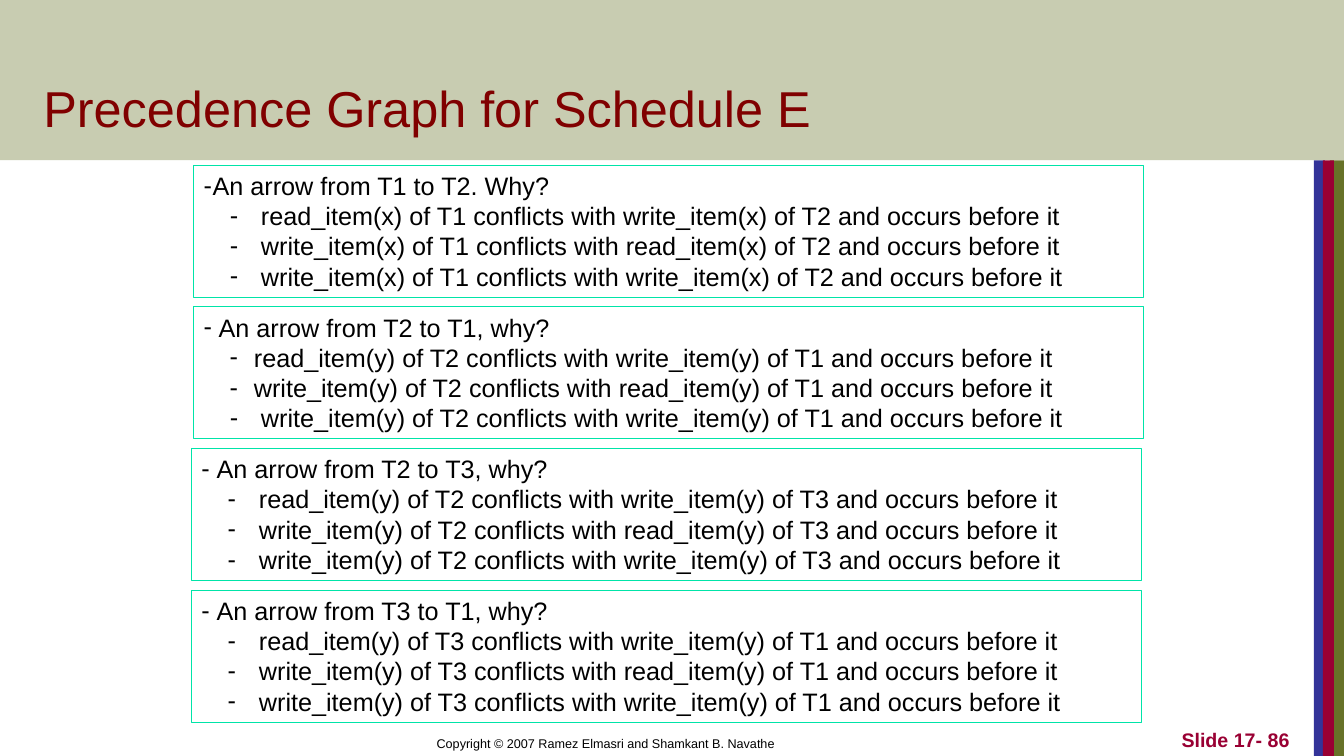
from dataclasses import dataclass

from lxml import etree
from pptx import Presentation
from pptx.dml.color import RGBColor
from pptx.enum import shapes, text
from pptx.oxml import ns
from pptx.util import Inches, Pt


@dataclass(frozen=True)
class Theme:
    font: str = "Arial"
    olive: str = "677228"
    blue: str = "333399"
    crimson: str = "990033"
    maroon: str = "800000"
    mint: str = "00E4A8"
    black: str = "000000"
    title_size: float = 36
    body_size: float = 18
    number_size: float = 14
    footer_size: float = 9
    body_leading: float = 21.6


theme = Theme()


def add_run(paragraph, words, size, color, bold=False):
    run = paragraph.add_run()
    run.text = words
    run.font.name = theme.font
    run.font.size = Pt(size)
    run.font.bold = bold
    run.font.color.rgb = RGBColor.from_string(color)


def set_dash(paragraph, margin, hanging):
    """Give the paragraph a dash bullet; margin and hanging are in inches."""
    properties = paragraph._p.get_or_add_pPr()
    properties.set("marL", str(Inches(margin)))
    properties.set("indent", str(-Inches(hanging)))
    etree.SubElement(properties, ns.qn("a:buFont"), typeface=theme.font)
    etree.SubElement(properties, ns.qn("a:buChar"), char="-")


presentation = Presentation()
presentation.slide_width = Inches(13.33)
presentation.slide_height = Inches(7.5)
slide = presentation.slides.add_slide(presentation.slide_layouts[5])

# Side stripes and header band
header_height = 1.59
decorations = [
    (13.19, header_height, 0.14, 5.91, theme.olive),
    (13.03, header_height, 0.11, 5.91, theme.blue),
    (13.12, header_height, 0.11, 5.91, theme.crimson),
    (0, 0, 13.33, header_height, theme.olive),
]
for left, top, width, height, color in decorations:
    shape = slide.shapes.add_shape(
        shapes.MSO_SHAPE.RECTANGLE, Inches(left), Inches(top), Inches(width), Inches(height))
    shape.shadow.inherit = False
    shape.fill.solid()
    shape.fill.fore_color.rgb = RGBColor.from_string(color)
    shape.line.fill.background()
header_color = shape._element.spPr.find(ns.qn("a:solidFill"))[0]
etree.SubElement(header_color, ns.qn("a:alpha"), val="36000")

# Title, brought in front of the band
title = slide.shapes.title
title._element.getparent().append(title._element)
title.left, title.top = Inches(0.33), Inches(0.33)
title.width, title.height = Inches(11.37), Inches(1.09)
title.text_frame.auto_size = text.MSO_AUTO_SIZE.NONE
title.text_frame.vertical_anchor = text.MSO_ANCHOR.BOTTOM
paragraph = title.text_frame.paragraphs[0]
paragraph.alignment = text.PP_ALIGN.LEFT
add_run(paragraph, "Precedence Graph for Schedule E", theme.title_size, theme.maroon)

# Copyright line and slide number
footers = [
    (1.22, 6.56, "Copyright © 2007 Ramez Elmasri and Shamkant B. Navathe",
     theme.footer_size, theme.black, False),
    (10.11, 2.78, "Slide 17- 86", theme.number_size, theme.crimson, True),
]
for left, width, words, size, color, bold in footers:
    footer = slide.shapes.add_textbox(Inches(left), Inches(7), Inches(width), Inches(0.5))
    footer.text_frame.word_wrap = True
    footer.text_frame.vertical_anchor = text.MSO_ANCHOR.BOTTOM
    paragraph = footer.text_frame.paragraphs[0]
    paragraph.alignment = text.PP_ALIGN.RIGHT
    add_run(paragraph, words, size, color, bold)

# One box per arrow: left, heading, heading indent, item, transactions, reason margins
arrows = [
    (1.92, "An arrow from T1 to T2. Why?", 0.09, "x", "T1", "T2", (0.57, 0.57, 0.57)),
    (1.92, "An arrow from T2 to T1, why?", 0.15, "y", "T2", "T1", (0.5, 0.5, 0.57)),
    (1.9, "An arrow from T2 to T3, why?", 0.15, "y", "T2", "T3", (0.57, 0.57, 0.57)),
    (1.9, "An arrow from T3 to T1, why?", 0.15, "y", "T3", "T1", (0.57, 0.57, 0.57)),
]
conflicts = [("read", "write"), ("write", "read"), ("write", "write")]
dash_offset = 0.26
for index, (left, heading, indent, item, first, second, margins) in enumerate(arrows):
    box = slide.shapes.add_textbox(
        Inches(left), Inches(1.64 + 1.405 * index), Inches(9.42), Inches(1.31))
    box.line.color.rgb = RGBColor.from_string(theme.mint)
    box.line.width = Pt(0.75)
    frame = box.text_frame
    frame.word_wrap = True
    lines = [(heading, indent, indent)]
    for (earlier, later), margin in zip(conflicts, margins):
        reason = (f"{earlier}_item({item}) of {first} conflicts with "
                  f"{later}_item({item}) of {second} and occurs before it")
        lines.append((reason, margin, margin - dash_offset))
    for number, (words, margin, hanging) in enumerate(lines):
        paragraph = frame.add_paragraph() if number else frame.paragraphs[0]
        paragraph.level = 1 if number else 0
        paragraph.line_spacing = Pt(theme.body_leading)
        set_dash(paragraph, margin, hanging)
        add_run(paragraph, words, theme.body_size, theme.black)

presentation.save("out.pptx")
